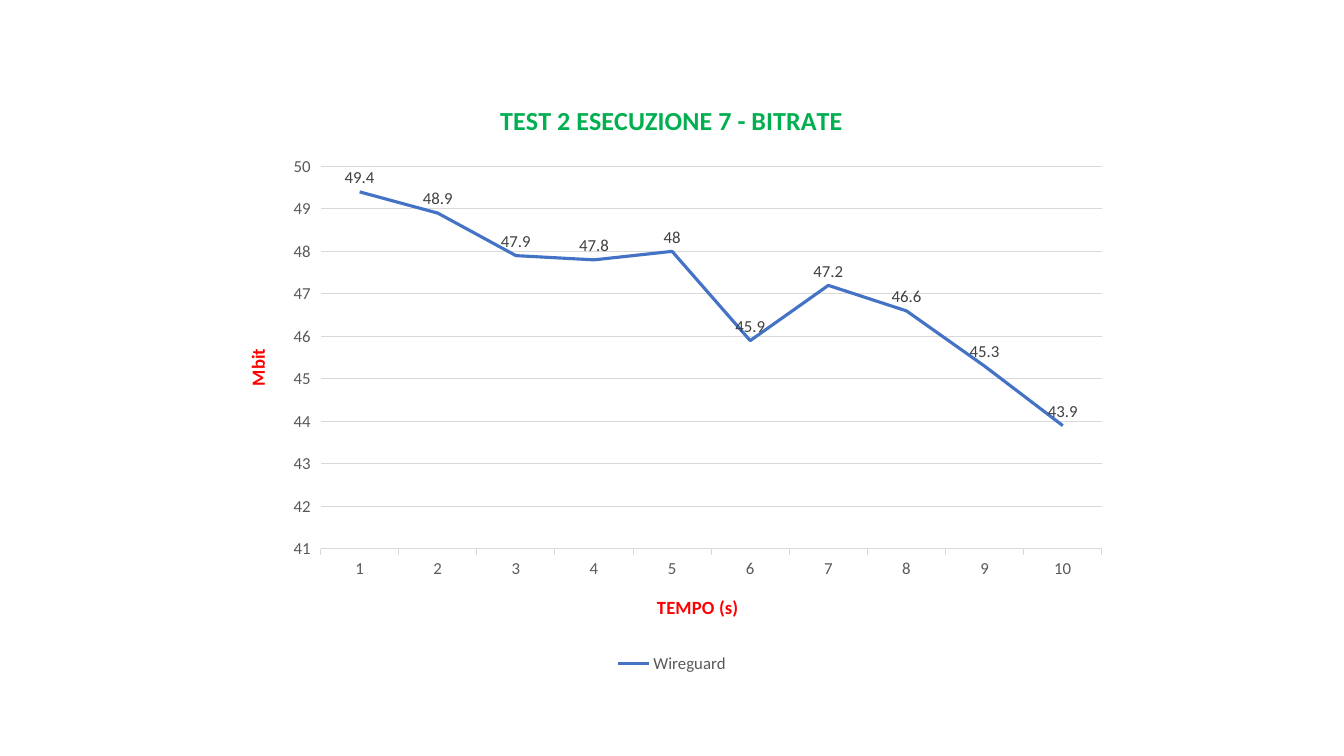
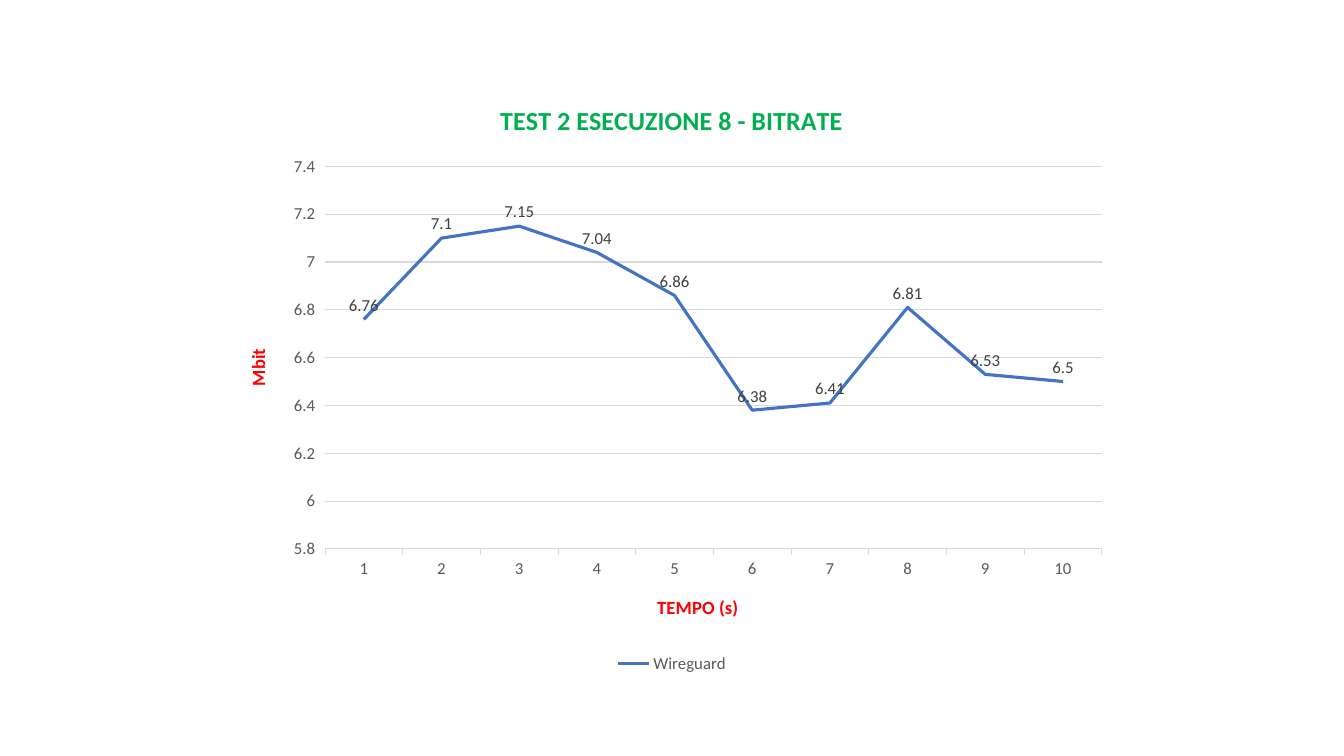
"""Build two slides, each with one line chart of bitrate over time."""
import pptx
import pptx.chart.data
import pptx.dml.color
import pptx.enum.chart
import pptx.oxml
import pptx.oxml.ns
import pptx.util

Cm, Pt = pptx.util.Cm, pptx.util.Pt
enum = pptx.enum.chart
HUES = {
    "title": "00B050",
    "axis": "FF0000",
    "text": "595959",
    "label": "404040",
    "grid": "D9D9D9",
    "line": "4472C4",
}
TESTS = [
    {
        "run": 7,
        "rates": [49.4, 48.9, 47.9, 47.8, 48, 45.9, 47.2, 46.6, 45.3, 43.9],
        "scale": (41, 50, 1),
        "left": 0.108,
    },
    {
        "run": 8,
        "rates": [6.76, 7.1, 7.15, 7.04, 6.86, 6.38, 6.41, 6.81, 6.53, 6.5],
        "scale": (5.8, 7.4, 0.2),
        "left": 0.113,
    },
]
TOP, RIGHT, HEIGHT = 0.145, 0.98, 0.64


def style(font, size, hue, bold=False):
    """Set the look of a font."""
    font.name = "Calibri"
    font.size = Pt(size)
    font.bold = bold
    font.color.rgb = pptx.dml.color.RGBColor.from_string(HUES[hue])


def stroke(line, width, hue):
    """Set the look of a line."""
    line.width = Pt(width)
    line.color.rgb = pptx.dml.color.RGBColor.from_string(HUES[hue])


deck = pptx.Presentation()
deck.slide_width, deck.slide_height = Cm(33.87), Cm(19.05)

for test in TESTS:
    slide = deck.slides.add_slide(deck.slide_layouts[6])
    data = pptx.chart.data.CategoryChartData()
    data.categories = [str(n) for n in range(1, 11)]
    data.add_series("Wireguard", test["rates"])
    chart = slide.shapes.add_chart(
        enum.XL_CHART_TYPE.LINE, Cm(5.64), Cm(2.01), Cm(22.58), Cm(15.06), data
    ).chart
    style(chart.font, 12, "text")

    time, rate = chart.category_axis, chart.value_axis
    for part, text, size, hue in [
        (chart.chart_title, f"TEST 2 ESECUZIONE {test['run']} - BITRATE", 18.6, "title"),
        (time.axis_title, "TEMPO (s)", 13.3, "axis"),
        (rate.axis_title, "Mbit", 13.3, "axis"),
    ]:
        part.text_frame.text = text
        style(part.text_frame.paragraphs[0].font, size, hue, True)
    chart.chart_title.include_in_layout = False
    body = rate.axis_title._element.find(".//" + pptx.oxml.ns.qn("a:bodyPr"))
    body.set("rot", "-5400000")
    body.set("vert", "horz")

    for axis in (time, rate):
        style(axis.tick_labels.font, 12, "text")
    time.major_tick_mark = enum.XL_TICK_MARK.OUTSIDE
    stroke(time.format.line, 0.75, "grid")
    rate.major_tick_mark = enum.XL_TICK_MARK.OUTSIDE
    rate.format.line.fill.background()
    rate.minimum_scale, rate.maximum_scale, rate.major_unit = test["scale"]
    stroke(rate.major_gridlines.format.line, 0.75, "grid")

    chart.has_legend = True
    chart.legend.position = enum.XL_LEGEND_POSITION.BOTTOM
    chart.legend.include_in_layout = False
    style(chart.legend.font, 12, "text")

    plot = chart.plots[0]
    plot.vary_by_categories = False
    series = plot.series[0]
    series.smooth = False
    series.marker.style = enum.XL_MARKER_STYLE.NONE
    stroke(series.format.line, 2.25, "line")
    labels = series.data_labels
    labels.show_value = True
    labels.position = enum.XL_LABEL_POSITION.ABOVE
    style(labels.font, 12, "label")

    area = chart._chartSpace.find(".//" + pptx.oxml.ns.qn("c:plotArea"))
    for old in area.findall(pptx.oxml.ns.qn("c:layout")):
        area.remove(old)
    area.insert(0, pptx.oxml.parse_xml(
        f'<c:layout {pptx.oxml.ns.nsdecls("c")}><c:manualLayout>'
        '<c:layoutTarget val="inner"/><c:xMode val="edge"/><c:yMode val="edge"/>'
        f'<c:x val="{test["left"]}"/><c:y val="{TOP}"/>'
        f'<c:w val="{RIGHT - test["left"]:.3f}"/><c:h val="{HEIGHT}"/>'
        '</c:manualLayout></c:layout>'
    ))

deck.save("out.pptx")
